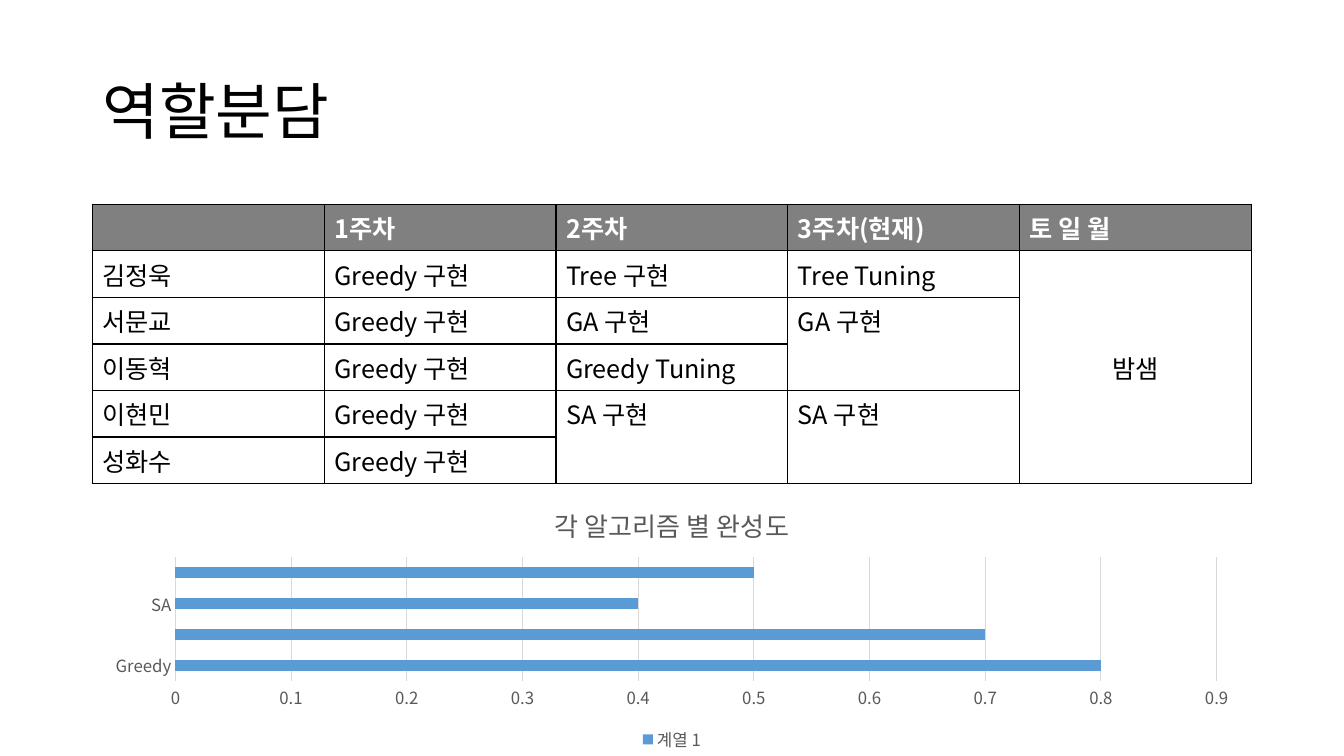
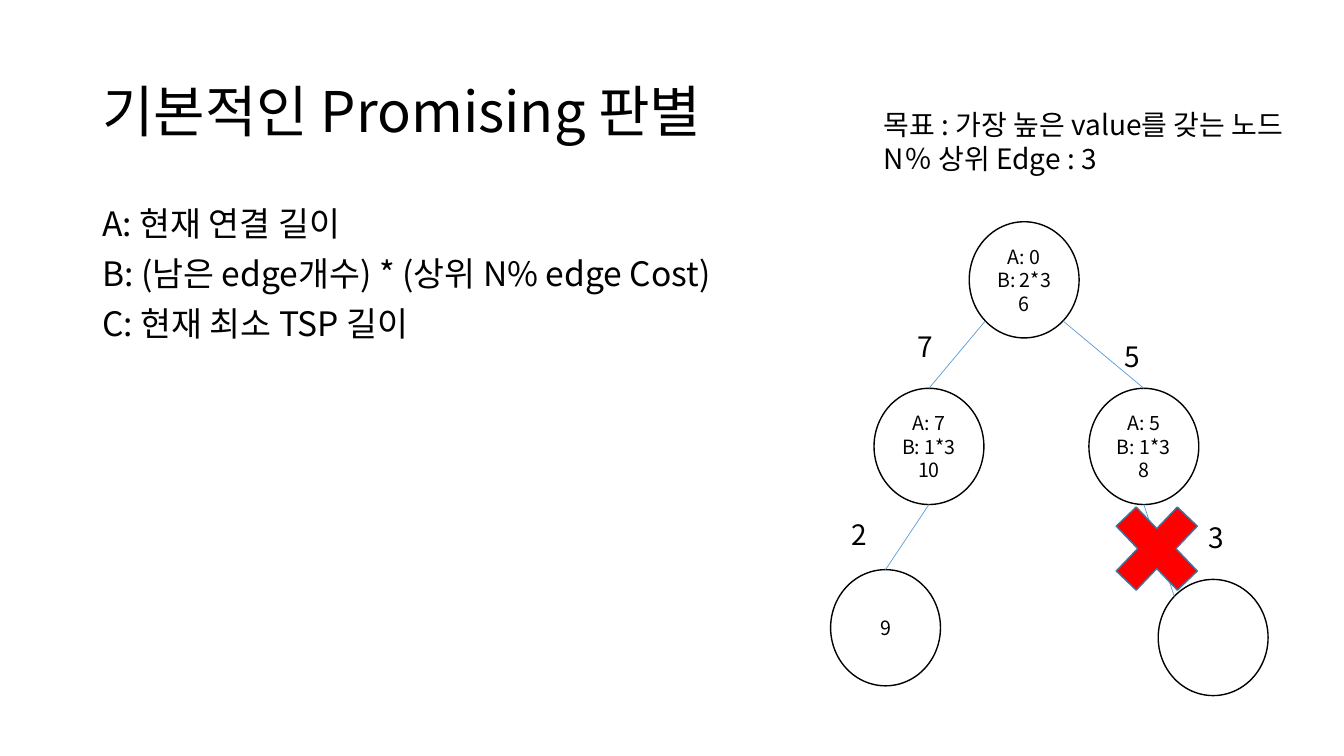
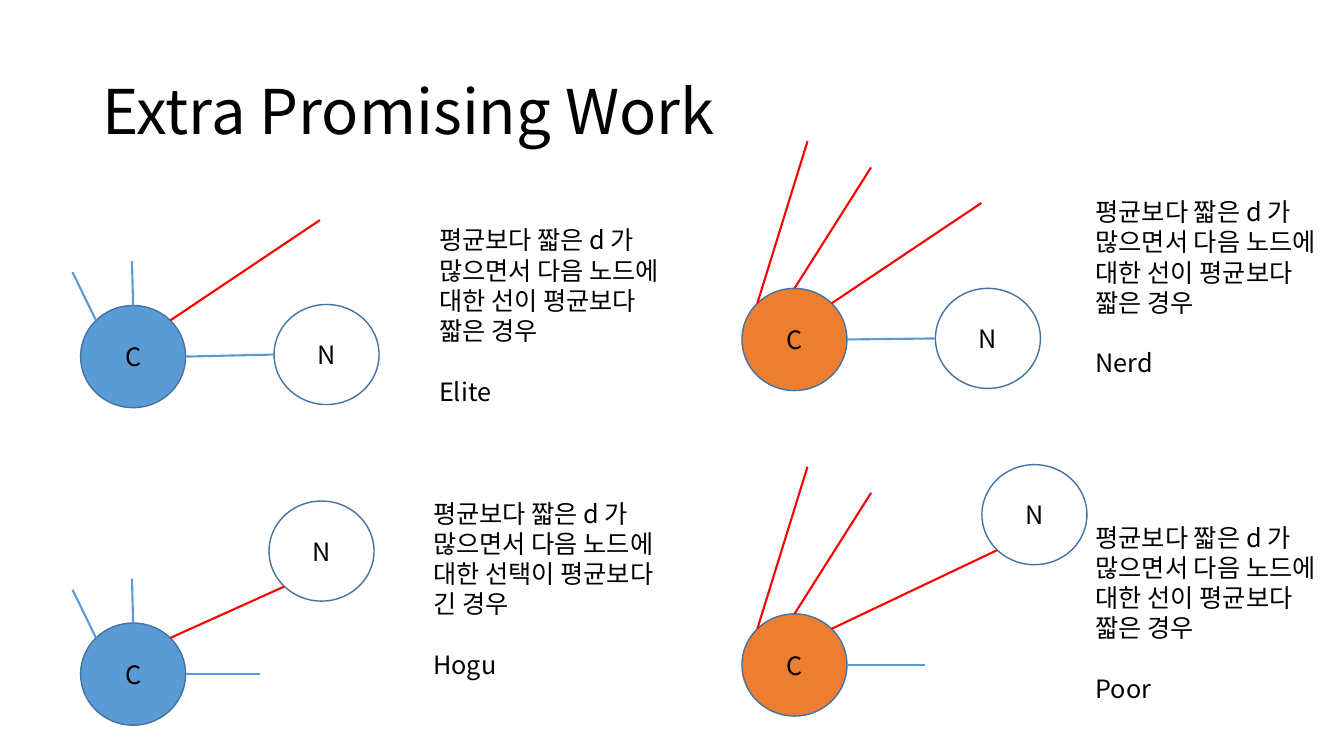
"""Build three slides on task sharing and promising checks for tree search."""
from collections import namedtuple

from lxml import etree
from pptx import Presentation
from pptx import util as u
from pptx.chart.data import CategoryChartData
from pptx.dml.color import RGBColor
from pptx.enum import chart as charts, shapes, text
from pptx.oxml.ns import qn

FONT = "Noto Sans CJK KR"
COLORS = {
    "black": "000000", "white": "FFFFFF", "header": "808080", "gray": "595959",
    "grid": "D9D9D9", "blue": "5B9BD5", "outline": "43739E",
    "orange": "ED7D31", "red": "FF0000",
}
LINE_HEIGHT = 1.2
DIAGONAL = 0.707
Box = namedtuple("Box", "left top width height")
TITLE_BOX = Box(66, 28.8, 828, 104.4)
CONTENT_LEFT, CONTENT_WIDTH = TITLE_BOX.left, TITLE_BOX.width


def color(name):
    return RGBColor.from_string(COLORS[name])


def points(values):
    return [u.Pt(value) for value in values]


def style_font(font, size, color_name="black", bold=False):
    font.name = FONT
    font.size = u.Pt(size)
    font.bold = bold
    font.color.rgb = color(color_name)
    etree.SubElement(font._element, qn("a:ea")).set("typeface", FONT)


def write(frame, lines, size, align=text.PP_ALIGN.LEFT, spacing=1.0, gap=0):
    frame.word_wrap = True
    for index, line in enumerate(lines):
        paragraph = frame.paragraphs[0] if index == 0 else frame.add_paragraph()
        paragraph.text = line
        paragraph.alignment = align
        paragraph.line_spacing = u.Pt(round(size * LINE_HEIGHT * spacing, 2))
        paragraph.space_before = u.Pt(gap if index else 0)
        style_font(paragraph.font, size)


def add_text(slide, box, lines, size, **options):
    frame = slide.shapes.add_textbox(*points(box)).text_frame
    write(frame, lines, size, **options)
    return frame


def add_preset(slide, kind, box, fill=None, line="outline"):
    shape = slide.shapes.add_shape(kind, *points(box))
    shape.shadow.inherit = False
    if fill:
        shape.fill.solid()
        shape.fill.fore_color.rgb = color(fill)
    else:
        shape.fill.background()
    shape.line.color.rgb = color(line)
    shape.line.width = u.Pt(1)
    return shape


def add_circle(slide, box, lines, size, **look):
    shape = add_preset(slide, shapes.MSO_SHAPE.OVAL, box, **look)
    frame = shape.text_frame
    frame.margin_left = frame.margin_right = 0
    frame.vertical_anchor = text.MSO_ANCHOR.MIDDLE
    if lines:
        write(frame, lines, size, align=text.PP_ALIGN.CENTER)


def add_line(slide, start, end, color_name, width):
    line = slide.shapes.add_connector(
        shapes.MSO_CONNECTOR.STRAIGHT, *points(start), *points(end))
    line.line.color.rgb = color(color_name)
    line.line.width = u.Pt(width)
    etree.SubElement(line._element.spPr, qn("a:effectLst"))


def rim(box, across, down):
    scale = DIAGONAL if across and down else 1
    return (box.left + box.width / 2 * (1 + across * scale),
            box.top + box.height / 2 * (1 + down * scale))


def add_titled_slide(presentation, title, size=44):
    slide = presentation.slides.add_slide(presentation.slide_layouts[5])
    shape = slide.shapes.title
    shape.left, shape.top, shape.width, shape.height = points(TITLE_BOX)
    frame = shape.text_frame
    frame.auto_size = text.MSO_AUTO_SIZE.NONE
    frame.vertical_anchor = text.MSO_ANCHOR.MIDDLE
    write(frame, [title], size, spacing=0.9)
    return slide


def add_borders(cell):
    properties = cell._tc.get_or_add_tcPr()
    for side in ("a:lnL", "a:lnR", "a:lnT", "a:lnB"):
        border = etree.SubElement(properties, qn(side), w=str(u.Pt(1)))
        fill = etree.SubElement(border, qn("a:solidFill"))
        etree.SubElement(fill, qn("a:srgbClr"), val=COLORS["black"])


def add_schedule(slide, box, rows, merges):
    table = slide.shapes.add_table(len(rows), len(rows[0]), *points(box)).table
    table.first_row = table.horz_banding = False
    for row_index, row in enumerate(rows):
        header = row_index == 0
        for column_index, value in enumerate(row):
            cell = table.cell(row_index, column_index)
            add_borders(cell)
            if header:
                cell.fill.solid()
                cell.fill.fore_color.rgb = color("header")
            else:
                cell.fill.background()
            paragraph = cell.text_frame.paragraphs[0]
            paragraph.text = value
            style_font(paragraph.font, 18, "white" if header else "black", header)
    for first, last in merges:
        table.cell(*first).merge(table.cell(*last))
    return table


def add_progress_chart(slide, box, title, series_name, progress):
    data = CategoryChartData()
    data.categories = list(progress)
    data.add_series(series_name, list(progress.values()))
    chart = slide.shapes.add_chart(
        charts.XL_CHART_TYPE.BAR_CLUSTERED, *points(box), data).chart
    style_font(chart.font, 10)
    chart.has_title = True
    heading = chart.chart_title.text_frame.paragraphs[0]
    heading.text = title
    style_font(heading.font, 18.6, "gray")
    chart.has_legend = True
    chart.legend.position = charts.XL_LEGEND_POSITION.BOTTOM
    chart.legend.include_in_layout = False
    style_font(chart.legend.font, 12, "gray")
    plot = chart.plots[0]
    plot.gap_width = 182
    plot.vary_by_categories = False
    bars = plot.series[0].format.fill
    bars.solid()
    bars.fore_color.rgb = color("blue")
    for axis in (chart.category_axis, chart.value_axis):
        axis.major_tick_mark = axis.minor_tick_mark = charts.XL_TICK_MARK.NONE
        style_font(axis.tick_labels.font, 12, "gray")
    chart.category_axis.has_major_gridlines = False
    chart.value_axis.has_major_gridlines = True
    chart.value_axis.format.line.fill.background()
    for line in (chart.category_axis.format.line,
                 chart.value_axis.major_gridlines.format.line):
        line.color.rgb = color("grid")
        line.width = u.Pt(0.75)


def build_roles(presentation):
    slide = add_titled_slide(presentation, "역할분담")
    greedy, genetic, annealing = "Greedy 구현", "GA 구현", "SA 구현"
    rows = [
        ["", "1주차", "2주차", "3주차(현재)", "토 일 월"],
        ["김정욱", greedy, "Tree 구현", "Tree Tuning", "밤샘"],
        ["서문교", greedy, genetic, genetic, ""],
        ["이동혁", greedy, "Greedy Tuning", "", ""],
        ["이현민", greedy, annealing, annealing, ""],
        ["성화수", greedy, "", "", ""],
    ]
    merges = [((1, 4), (5, 4)), ((2, 3), (3, 3)), ((4, 2), (5, 2)), ((4, 3), (5, 3))]
    table = add_schedule(
        slide, Box(CONTENT_LEFT, 145.8, CONTENT_WIDTH, 175.2), rows, merges)
    overnight = table.cell(1, 4)
    overnight.vertical_anchor = text.MSO_ANCHOR.MIDDLE
    overnight.text_frame.paragraphs[0].alignment = text.PP_ALIGN.CENTER
    add_progress_chart(
        slide, Box(CONTENT_LEFT, 348.5, CONTENT_WIDTH, 191.5),
        "각 알고리즘 별 완성도", "계열 1",
        {"Greedy": 0.8, "Tree": 0.7, "SA": 0.4, "GA": 0.5})


def add_search_tree(slide, left, top):
    nodes = {
        "root": (99, 0, ["A: 0", "B: 2*3", "6"]),
        "near": (31, 119, ["A: 7", "B: 1*3", "10"]),
        "far": (184.5, 119, ["A: 5", "B: 1*3", "8"]),
        "leaf": (0, 248.5, ["9"]),
        "pruned": (234, 255.5, []),
    }
    edges = [
        ("root", (-1, 1), "near", (0, -1)),
        ("near", (0, 1), "leaf", (0, -1)),
        ("root", (1, 1), "far", (0, -1)),
        ("far", (0, 1), "pruned", (-1, -1)),
    ]
    costs = [("7", 55, 73.5), ("5", 202.5, 80.5), ("3", 263, 210), ("2", 7.5, 208)]
    boxes = {}
    for name, (x, y, lines) in nodes.items():
        boxes[name] = Box(left + x, top + y, 78.5, 83)
        add_circle(slide, boxes[name], lines, 14, line="black")
    for parent, leaving, child, entering in edges:
        add_line(slide, rim(boxes[parent], *leaving),
                 rim(boxes[child], *entering), "blue", 0.5)
    for cost, x, y in costs:
        add_text(slide, Box(left + x, top + y, 25.2, 31.5), [cost], 20)
    add_preset(slide, shapes.MSO_SHAPE.MATH_MULTIPLY,
               Box(left + 191, top + 189.5, 84, 88), fill="red")


def build_promising(presentation):
    slide = add_titled_slide(presentation, "기본적인 Promising 판별", 40)
    add_text(slide, Box(CONTENT_LEFT, 144, CONTENT_WIDTH, 342.7), [
        "A: 현재 연결 길이",
        "B: (남은 edge개수) * (상위 N% edge Cost)",
        "C: 현재 최소 TSP 길이",
    ], 24, spacing=0.9, gap=10)
    add_text(slide, Box(624.2, 73.4, 335.8, 55.4),
             ["목표 : 가장 높은 value를 갖는 노드", "N％ 상위 Edge : 3"], 20)
    add_search_tree(slide, 593.3, 158.4)


def add_case(slide, left, top, fill, spokes, neighbor, link, note, note_at):
    current = Box(left, top, 75, 73)
    following = Box(left + neighbor[0], top + neighbor[1], 75, 71.5)
    add_circle(slide, current, ["C"], 18, fill=fill)
    add_circle(slide, following, ["N"], 18)
    leaving, entering, link_color = link
    add_line(slide, rim(current, *leaving), rim(following, *entering), link_color, 1.5)
    for direction, (x, y), spoke_color in spokes:
        add_line(slide, rim(current, *direction), (left + x, top + y), spoke_color, 1.5)
    frame = add_text(
        slide, Box(left + note_at[0], top + note_at[1], 184, 138), note, 18)
    frame.paragraphs[-1].space_before = u.Pt(18 * LINE_HEIGHT)


def build_extra(presentation):
    slide = add_titled_slide(presentation, "Extra Promising Work")
    up, up_left, up_right = (0, -1), (-1, -1), (1, -1)
    left, right, down_left = (-1, 0), (1, 0), (-1, 1)
    short = [(up, (36.7, -31.7), "blue"), (up_left, (-5.8, -23.8), "blue")]
    long = [(up, (92.2, -86.4), "red"), (up_left, (46.8, -105.1), "red")]
    red_spoke = (up_right, (171, -61), "red")
    near_link, far_link = (right, left, "blue"), (up_right, down_left, "red")
    opening = ["평균보다 짧은 d 가", "많으면서 다음 노드에"]
    shorter = opening + ["대한 선이 평균보다", "짧은 경우"]
    longer = opening + ["대한 선택이 평균보다", "긴 경우"]
    cases = [
        (57.6, 218.2, "blue", short + [red_spoke], (138.2, -0.7), near_link,
         shorter + ["Elite"], (249, -61.2)),
        (57.6, 445, "blue", short + [(right, (128.2, 36.5), "blue")],
         (134.6, -87.1), far_link, longer + ["Hogu"], (244.8, -92.9)),
        (530, 206, "orange", long + [red_spoke], (138.2, 0), near_link,
         shorter + ["Nerd"], (245.5, -69.2)),
        (530, 438.5, "orange", long + [(right, (131, 36.5), "blue")],
         (171.4, -106.6), far_link, shorter + ["Poor"], (245.5, -69.2)),
    ]
    for case in cases:
        add_case(slide, *case)


def main():
    presentation = Presentation()
    presentation.slide_width, presentation.slide_height = points((960, 540))
    build_roles(presentation)
    build_promising(presentation)
    build_extra(presentation)
    presentation.save("out.pptx")


if __name__ == "__main__":
    main()
